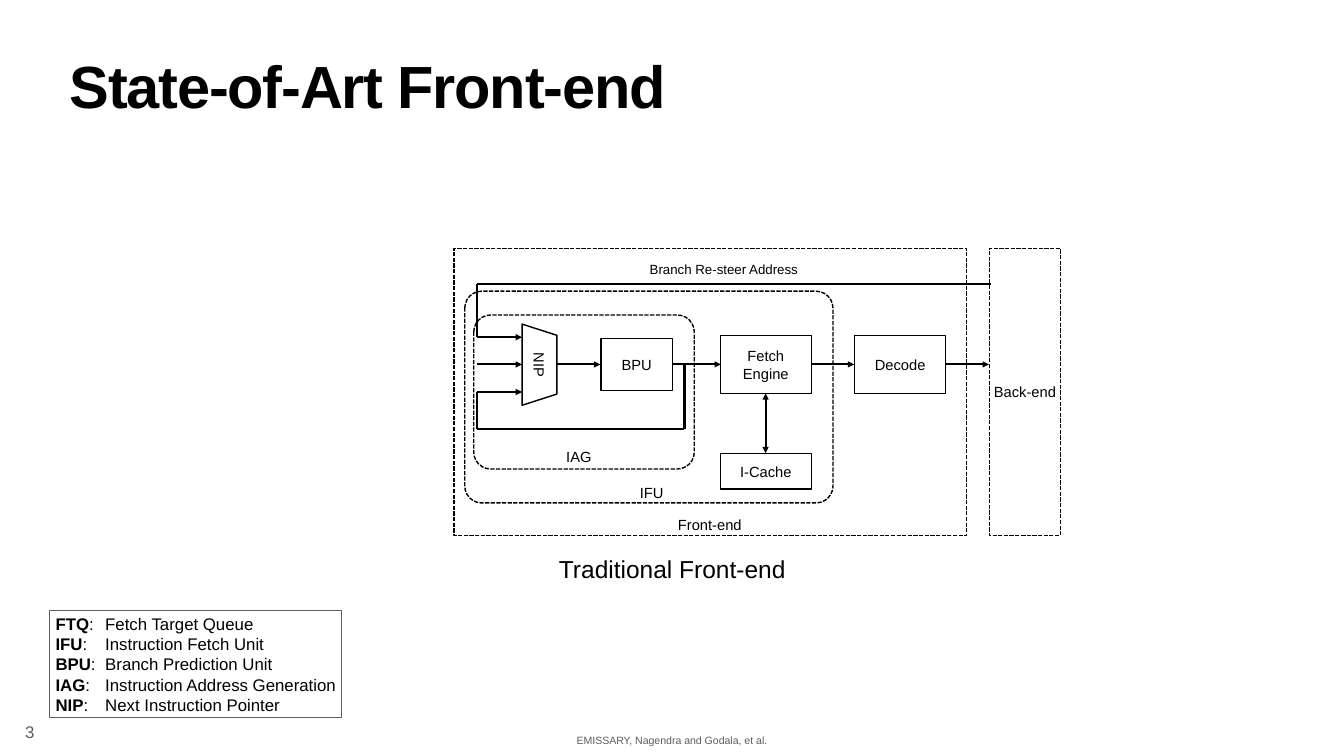
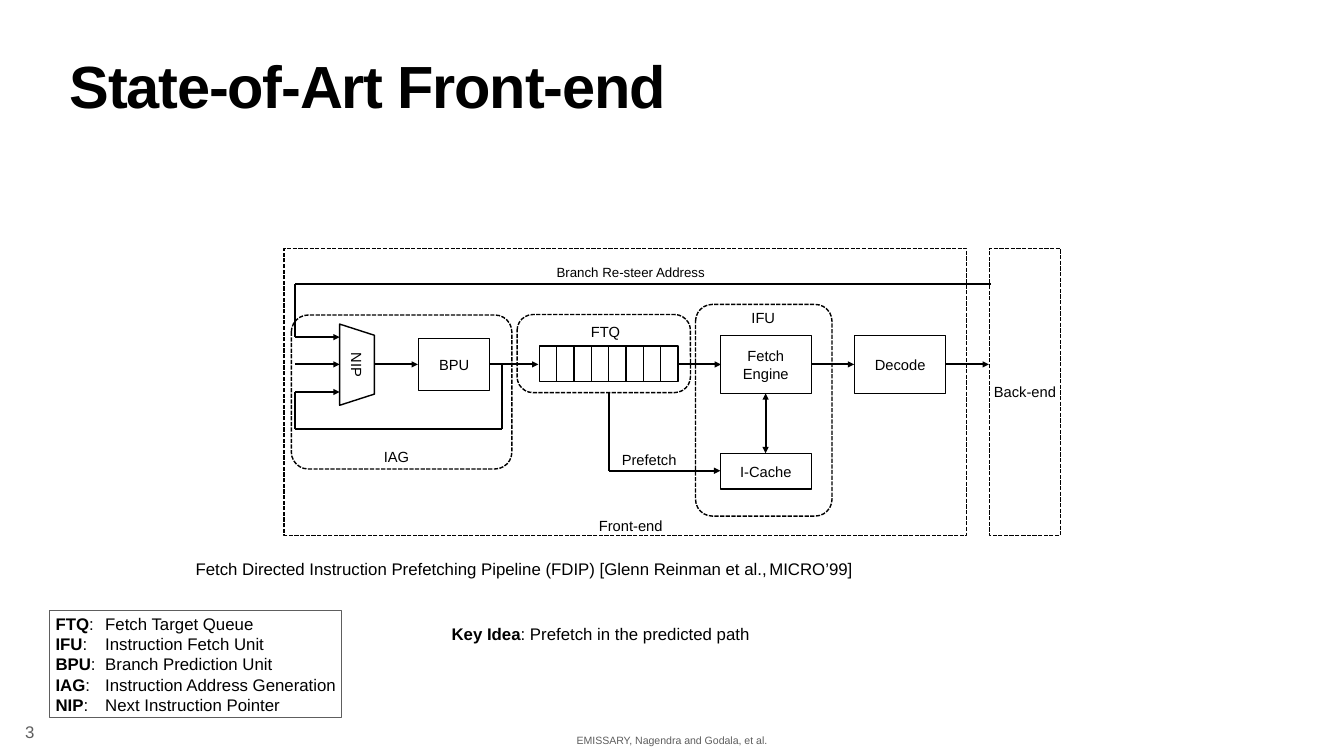
"""Build two slides comparing a traditional and a prefetching front-end."""
from dataclasses import dataclass

from lxml import etree
from pptx import Presentation
from pptx import util as u
from pptx.dml.color import RGBColor
from pptx.enum import dml, shapes, text
from pptx.oxml.ns import qn

Pt = u.Pt
LEFT, CENTER = text.PP_ALIGN.LEFT, text.PP_ALIGN.CENTER
RECT, ROUND = shapes.MSO_SHAPE.RECTANGLE, shapes.MSO_SHAPE.ROUNDED_RECTANGLE


@dataclass(frozen=True)
class Theme:
    """Colours, type sizes and line widths shared by the slides."""
    font: str = "Arial"
    ink: RGBColor = RGBColor(0, 0, 0)
    grey: RGBColor = RGBColor(0x5E, 0x5E, 0x5E)
    title: float = 85
    caption: float = 35
    body: float = 24
    label: float = 21
    small: float = 19
    footer: float = 26
    inset: float = 4.32
    outline: float = 2
    wire: float = 3


THEME = Theme()
FLOW_Y = 520.6
FRAME_TOP, FRAME_HEIGHT = 355, 410
STEER_Y = 406
LABEL_HEIGHT = 42.5
LEGEND = [
    ("FTQ", "Fetch Target Queue"),
    ("IFU", "Instruction Fetch Unit"),
    ("BPU", "Branch Prediction Unit"),
    ("IAG", "Instruction Address Generation"),
    ("NIP", "Next Instruction Pointer"),
]


def set_frame(frame, anchor=text.MSO_ANCHOR.MIDDLE):
    """Give a text frame the common insets, wrapping and anchor."""
    frame.word_wrap = True
    frame.auto_size = text.MSO_AUTO_SIZE.NONE
    frame.vertical_anchor = anchor
    frame.margin_left = frame.margin_right = Pt(THEME.inset)
    frame.margin_top = frame.margin_bottom = Pt(THEME.inset)


def set_para(para, size, align=CENTER, color=THEME.ink, bold=False):
    """Format one paragraph."""
    para.alignment = align
    para.font.name = THEME.font
    para.font.size = Pt(size)
    para.font.bold = bold
    para.font.color.rgb = color


def add_spans(para, *spans):
    """Append runs given as (words, bold) pairs."""
    for words, bold in spans:
        span = para.add_run()
        span.text = words
        if bold:
            span.font.bold = True


def add_label(page, words, left, top, width, height=LABEL_HEIGHT,
              size=THEME.label, align=CENTER, color=THEME.ink):
    """Add a text box with one paragraph and return that paragraph."""
    box = page.shapes.add_textbox(Pt(left), Pt(top), Pt(width), Pt(height))
    set_frame(box.text_frame)
    para = box.text_frame.paragraphs[0]
    set_para(para, size, align, color)
    if words:
        add_spans(para, (words, False))
    return para


def style_outline(shape, words="", color=THEME.ink, width=THEME.outline):
    """Make a shape hollow with a plain outline and an optional label."""
    shape.shadow.inherit = False
    shape.fill.background()
    shape.line.color.rgb = color
    shape.line.width = Pt(width)
    if words:
        set_frame(shape.text_frame)
        para = shape.text_frame.paragraphs[0]
        set_para(para, THEME.label)
        add_spans(para, (words, False))


def add_box(page, words, left, top, width, height):
    """Add a solid-outlined block."""
    box = page.shapes.add_shape(RECT, Pt(left), Pt(top), Pt(width), Pt(height))
    style_outline(box, words)
    return box


def add_region(page, left, top, width, height, corner=None, words=""):
    """Add a dashed region, rounded when a corner ratio is given."""
    kind = RECT if corner is None else ROUND
    region = page.shapes.add_shape(kind, Pt(left), Pt(top), Pt(width), Pt(height))
    style_outline(region, words)
    region.line.dash_style = dml.MSO_LINE.SQUARE_DOT
    if corner is not None:
        region.adjustments[0] = corner


def add_wire(page, start, end, head=False, tail=False):
    """Add a straight line with optional arrowheads at start and end."""
    wire = page.shapes.add_connector(
        shapes.MSO_CONNECTOR.STRAIGHT, *(Pt(value) for value in (*start, *end)))
    wire.line.color.rgb = THEME.ink
    wire.line.width = Pt(THEME.wire)
    line = wire.line._get_or_add_ln()
    for wanted, tag in ((head, "a:headEnd"), (tail, "a:tailEnd")):
        if wanted:
            etree.SubElement(line, qn(tag), type="triangle")
    etree.SubElement(wire._element.spPr, qn("a:effectLst"))


def add_mux(page, left, top):
    """Add the NIP multiplexer, a trapezoid turned a quarter to the right."""
    width, height, slope = 116, 49.7, 16
    builder = page.shapes.build_freeform(Pt(slope), 0)
    builder.add_line_segments([
        (Pt(width - slope), 0), (Pt(width), Pt(height)), (0, Pt(height))])
    turn = (width - height) / 2
    mux = builder.convert_to_shape(Pt(left - turn), Pt(top + turn))
    mux.rotation = 90
    style_outline(mux, "NIP")


def add_title(page):
    """Place and format the title."""
    title = page.shapes.title
    title.left, title.top, title.width, title.height = map(Pt, (95, 85, 1730, 113))
    set_frame(title.text_frame, text.MSO_ANCHOR.TOP)
    para = title.text_frame.paragraphs[0]
    set_para(para, THEME.title, LEFT, bold=True)
    para.line_spacing = 0.8
    add_spans(para, ("State-of-Art Front-end", True))
    para.runs[0].font._element.set("spc", "-170")


def add_legend(page):
    """Add the framed list of abbreviations."""
    top, height, tab = 872.6, 152.3, 71
    box = page.shapes.add_textbox(Pt(75), Pt(top), Pt(428), Pt(height))
    frame = box.text_frame
    set_frame(frame)
    for index, (short, meaning) in enumerate(LEGEND):
        para = frame.add_paragraph() if index else frame.paragraphs[0]
        set_para(para, THEME.body, LEFT)
        para.line_spacing = Pt(29)
        add_spans(para, (short, True), (f":\t{meaning}", False))
        stops = etree.Element(qn("a:tabLst"))
        etree.SubElement(stops, qn("a:tab"), pos=str(int(Pt(tab))), algn="l")
        para._p.pPr.find(qn("a:defRPr")).addprevious(stops)
    border = page.shapes.add_shape(RECT, Pt(70), Pt(top), Pt(417), Pt(height))
    style_outline(border, color=THEME.grey, width=1)


def add_footer(page):
    """Add the page number and the raised footer line."""
    add_label(page, "3", 31.7, 1028, 24, 36, THEME.body, LEFT, THEME.grey)
    para = add_label(page, "EMISSARY, Nagendra and Godala, et al.", 795.6, 1041,
                     328.4, 39.6, THEME.footer, color=THEME.grey)
    para.runs[0].font._element.set("baseline", "31999")


def add_address_generator(page, left):
    """Add the IAG region: multiplexer, BPU, feedback loop and inputs."""
    feed, mux, loop = left + 5, left + 69, left + 301
    loop_y, inputs = 613.4, (481.7, FLOW_Y, 560)
    add_mux(page, mux, 463)
    add_box(page, "BPU", left + 182, 483.8, 101.5, 74)
    add_wire(page, (left + 283, FLOW_Y), (left + 353, FLOW_Y), tail=True)
    add_wire(page, (left + 119.5, FLOW_Y), (left + 180.7, FLOW_Y), tail=True)
    for y in inputs:
        add_wire(page, (feed, y), (mux, y), tail=True)
    add_wire(page, (feed, loop_y), (feed, inputs[2]))
    add_wire(page, (loop, loop_y), (feed, loop_y))
    add_wire(page, (loop, FLOW_Y), (loop, loop_y))
    add_wire(page, (feed, inputs[0]), (feed, STEER_Y))
    add_wire(page, (1415.5, STEER_Y), (feed, STEER_Y))
    add_region(page, left, 450, 315, 220, 0.11)
    add_label(page, "IAG", left + 121.7, 630.7, 57)


def add_back_half(page):
    """Add the fetch, cache, decode and back-end blocks with their wires."""
    fetch, decode, back, width = 1029, 1221, 1413.4, 130
    add_box(page, "I-Cache", fetch, 648, width, 50.4)
    add_box(page, "Fetch Engine", fetch, 479.5, width, 83)
    add_box(page, "Decode", decode, 479.5, width, 83)
    add_region(page, back, FRAME_TOP, 101.5, FRAME_HEIGHT, words="Back-end")
    add_wire(page, (1093.7, 562), (1093.7, 647.5), head=True, tail=True)
    for start, end in ((fetch, decode), (decode, back)):
        add_wire(page, (start + width, FLOW_Y), (end - 0.8, FLOW_Y), tail=True)


def add_target_queue(page):
    """Add the FTQ region with its cells and the prefetch path."""
    cells, pitch, drop, prefetch_y = 8, 24.75, 869.5, 672.5
    for index in range(cells):
        add_box(page, "", 770.4 + index * pitch, 494.6, pitch, 50.4)
    add_wire(page, (969, FLOW_Y), (1030, FLOW_Y), tail=True)
    add_region(page, 738.7, 449.3, 247.7, 111.6, 0.204)
    add_label(page, "FTQ", 833, 452, 64)
    add_wire(page, (drop, 559.4), (drop, prefetch_y))
    add_wire(page, (drop, prefetch_y), (1029, prefetch_y), tail=True)
    add_label(page, "Prefetch", 870.5, 635.8, 113.8)


def add_front_frame(page, left, name_at, steer_at):
    """Add the dashed front-end frame, its name and the re-steer label."""
    add_region(page, left, FRAME_TOP, 1381 - left, FRAME_HEIGHT)
    add_label(page, "Front-end", *name_at, 132)
    add_label(page, "Branch Re-steer Address", *steer_at, 290, 39.6, THEME.small)


def add_page(deck):
    """Add a slide with the shared title, legend, footer and blocks."""
    page = deck.slides.add_slide(deck.slide_layouts[5])
    add_title(page)
    add_legend(page)
    add_footer(page)
    add_back_half(page)
    return page


def add_traditional(deck):
    """Build the slide on the traditional front-end."""
    page = add_page(deck)
    add_front_frame(page, 648.7, (948, 728), (889, 364.3))
    add_region(page, 664, 416, 526, 302.5, 0.08)
    add_label(page, "IFU", 904, 682.5, 54)
    add_address_generator(page, 676.8)
    add_label(page, "Traditional Front-end", 793.4, 787.7, 334, 48.2, THEME.caption)


def add_prefetching(deck):
    """Build the slide on the prefetching front-end."""
    page = add_page(deck)
    add_front_frame(page, 406, (835, 730), (756, 369.4))
    add_region(page, 993.6, 434.9, 195, 302.4, 0.123)
    add_label(page, "IFU", 1063.4, 432, 54)
    add_address_generator(page, 416.2)
    add_target_queue(page)
    para = add_label(page, "", 275, 788.4, 1370, 48.2, THEME.body, LEFT)
    add_spans(para, ("Fetch Directed Instruction Prefetching Pipeline (FDIP) "
                     "[Glenn Reinman et al.,", False),
              (" ", False), ("MICRO’99]", False))
    para.runs[1].font.size = Pt(THEME.body / 2)
    para = add_label(page, "", 640.8, 880, 638.6, 49.7, THEME.body, LEFT)
    add_spans(para, ("Key Idea", True), (": Prefetch in the predicted path", False))


def main():
    """Create the deck and save it."""
    deck = Presentation()
    deck.slide_width, deck.slide_height = Pt(1920), Pt(1080)
    add_traditional(deck)
    add_prefetching(deck)
    deck.save("out.pptx")


main()
